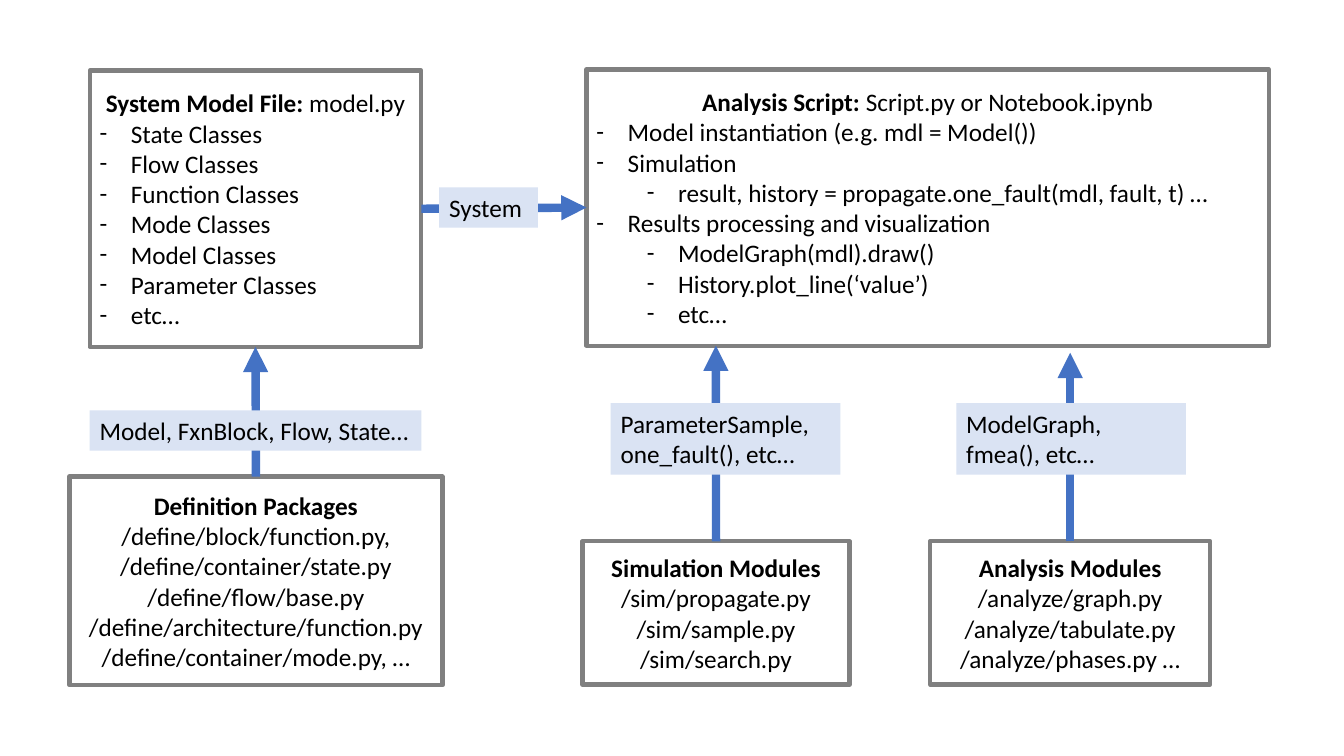
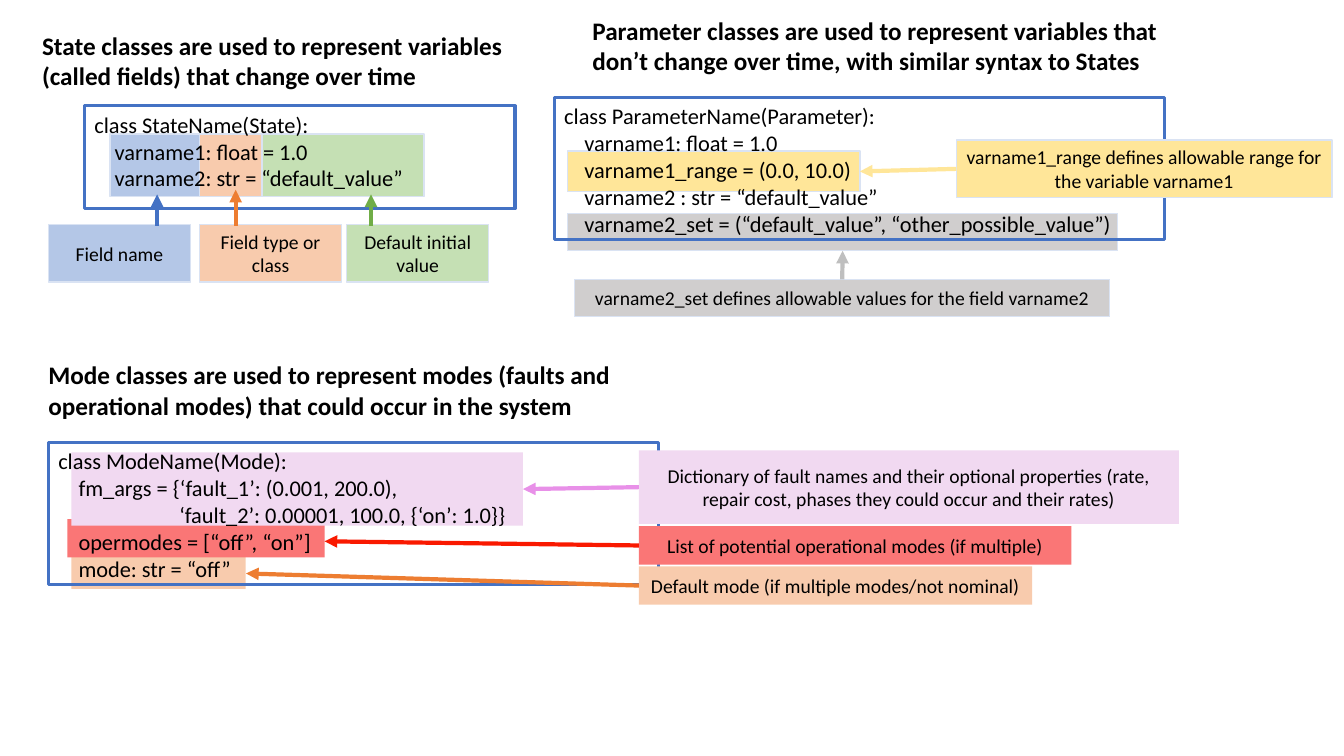
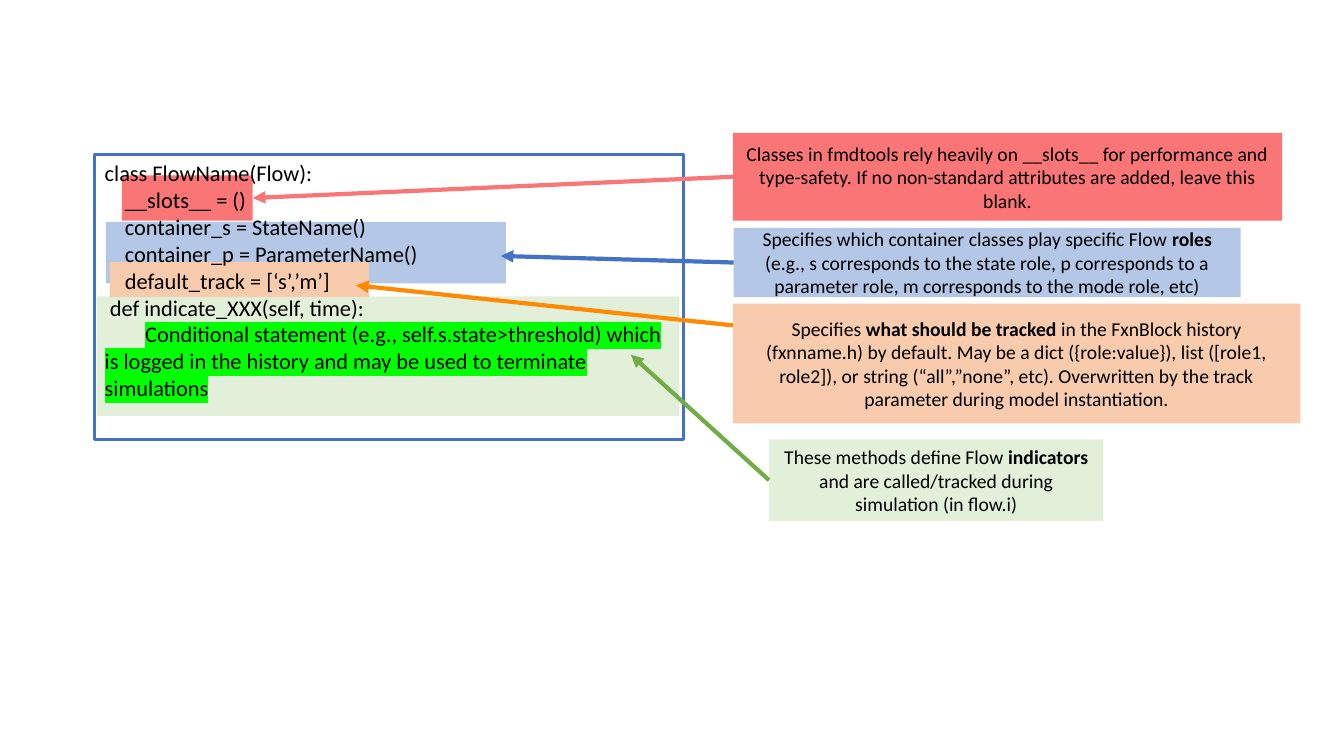
from dataclasses import dataclass

from lxml.etree import SubElement
from pptx import Presentation
from pptx.dml.color import RGBColor
from pptx.enum.shapes import MSO_CONNECTOR, MSO_SHAPE
from pptx.enum.text import MSO_ANCHOR, PP_ALIGN
from pptx.oxml.ns import qn
from pptx.util import Cm, Pt

FONT = "Calibri"
BLACK, WHITE, GREY = "000000", "FFFFFF", "808080"
BLUE, ORANGE, GREEN = "4472C4", "ED7D31", "70AD47"
PALE_BLUE, SOFT_BLUE, SOFT_ORANGE, SOFT_GREEN = "DAE3F3", "B4C7E7", "F8CBAD", "C5E0B4"
PALE_GREEN, YELLOW, SOFT_GREY = "E2F0D9", "FFE699", "D0CECE"
RED, PINK, LIME = "FA7676", "F1D9F1", "00FF00"
TOP, LEFT, BOTTOM, RIGHT = range(4)
CODE_INDENT = 0.51


@dataclass
class Line:
    """A paragraph; text between ** marks is bold, indents are in cm."""
    text: str
    left: float = 0
    first: float = 0
    bullet: str = ""
    align: PP_ALIGN = None
    marker: str = ""


def rgb(value):
    return RGBColor.from_string(value)


def dash(text, level=0):
    return Line(text, left=0.79 + 1.27 * level, first=-0.79, bullet="-", align=PP_ALIGN.LEFT)


def indented(*texts):
    return [Line(text, left=CODE_INDENT) for text in texts]


def write(frame, lines, size=18, bold=False, align=PP_ALIGN.LEFT, anchor=MSO_ANCHOR.TOP):
    frame.word_wrap = True
    frame.vertical_anchor = anchor
    for index, line in enumerate(lines):
        if isinstance(line, str):
            line = Line(line)
        paragraph = frame.add_paragraph() if index else frame.paragraphs[0]
        paragraph.alignment = line.align or align
        properties = paragraph._p.get_or_add_pPr()
        properties.set("marL", str(Cm(line.left)))
        properties.set("indent", str(Cm(line.first)))
        if line.bullet:
            SubElement(properties, qn("a:buFont")).set("typeface", FONT)
            SubElement(properties, qn("a:buChar")).set("char", line.bullet)
        for part, text in enumerate(line.text.split("**")):
            if not text:
                continue
            run = paragraph.add_run()
            run.text = text
            run.font.size = Pt(size)
            run.font.bold = bold or part % 2 == 1
            run.font.color.rgb = rgb(BLACK)
            if line.marker:
                run_format = run._r.get_or_add_rPr()
                highlight = SubElement(run_format, qn("a:highlight"))
                SubElement(highlight, qn("a:srgbClr")).set("val", line.marker)
            run.font.name = FONT


class Deck:
    def __init__(self):
        self.presentation = Presentation()
        self.presentation.slide_width = Cm(33.87)
        self.presentation.slide_height = Cm(19.05)
        self.slide = None

    def new_slide(self):
        self.slide = self.presentation.slides.add_slide(self.presentation.slide_layouts[6])

    def box(self, place, fill=None, edge=None, weight=1, kind=MSO_SHAPE.RECTANGLE):
        shape = self.slide.shapes.add_shape(kind, *map(Cm, place))
        shape.shadow.inherit = False
        if fill:
            shape.fill.solid()
            shape.fill.fore_color.rgb = rgb(fill)
        else:
            shape.fill.background()
        if edge:
            shape.line.color.rgb = rgb(edge)
            shape.line.width = Pt(weight)
        else:
            shape.line.fill.background()
        return shape

    def module(self, place, *lines):
        shape = self.box(place, WHITE, GREY, 3, MSO_SHAPE.FLOWCHART_PROCESS)
        write(shape.text_frame, lines, align=PP_ALIGN.CENTER, anchor=MSO_ANCHOR.MIDDLE)
        return shape

    def label(self, place, *lines):
        write(self.box(place, PALE_BLUE).text_frame, lines)

    def code(self, place, *lines):
        write(self.box(place, edge=BLUE, weight=2.25).text_frame, lines, size=16)

    def note(self, place, text, fill, edge=None):
        shape = self.box(place, fill, edge)
        write(shape.text_frame, [text], size=14, align=PP_ALIGN.CENTER, anchor=MSO_ANCHOR.MIDDLE)
        return shape

    def heading(self, place, text):
        frame = self.slide.shapes.add_textbox(*map(Cm, place)).text_frame
        write(frame, [text], bold=True)

    def arrow(self, start, end, color, weight=3):
        """Each end is an (x, y) point in cm or a (shape, side) pair."""
        def point(target):
            if isinstance(target[0], (int, float)):
                return Cm(target[0]), Cm(target[1])
            shape, side = target
            across = {LEFT: 0, RIGHT: shape.width}.get(side, shape.width // 2)
            down = {TOP: 0, BOTTOM: shape.height}.get(side, shape.height // 2)
            return shape.left + across, shape.top + down

        connector = self.slide.shapes.add_connector(
            MSO_CONNECTOR.STRAIGHT, *point(start), *point(end))
        for target, join in ((start, connector.begin_connect), (end, connector.end_connect)):
            if not isinstance(target[0], (int, float)):
                join(*target)
        connector.line.color.rgb = rgb(color)
        connector.line.width = Pt(weight)
        SubElement(connector.line._get_or_add_ln(), qn("a:tailEnd")).set("type", "triangle")
        SubElement(connector._element.spPr, qn("a:effectLst"))


def structure_slide(deck):
    deck.new_slide()
    packages = deck.module(
        (1.75, 12.01, 9.4, 5.26), "**Definition Packages**", "/define/block/function.py,",
        "/define/container/state.py", "/define/flow/base.py",
        "/define/architecture/function.py", "/define/container/mode.py, …")
    contents = ("State Classes", "Flow Classes", "Function Classes", "Mode Classes",
                "Model Classes", "Parameter Classes", "etc…")
    model = deck.module((2.26, 1.78, 8.36, 6.96), "**System Model File: **model.py",
                        *map(dash, contents))
    script = deck.module(
        (14.78, 1.75, 17.2, 6.96), "**Analysis Script: **Script.py or Notebook.ipynb",
        dash("Model instantiation (e.g. mdl = Model())"), dash("Simulation"),
        dash("result, history = propagate.one_fault(mdl, fault, t) …", 1),
        dash("Results processing and visualization"), dash("ModelGraph(mdl).draw()", 1),
        dash("History.plot_line(‘value’)", 1), dash("etc…", 1))
    simulation = deck.module((14.68, 13.64, 6.73, 3.61), "**Simulation Modules**",
                             "/sim/propagate.py", "/sim/sample.py", "/sim/search.py")
    analysis = deck.module((23.44, 13.64, 7.06, 3.61), "**Analysis Modules**",
                           "/analyze/graph.py", "/analyze/tabulate.py", "/analyze/phases.py …")

    for start, end in (((packages, TOP), (model, BOTTOM)), ((model, RIGHT), (script, LEFT)),
                       ((simulation, TOP), (18.04, 8.71)), ((analysis, TOP), (26.97, 8.89))):
        deck.arrow(start, end, BLUE, 6)

    deck.label((2.26, 10.34, 8.36, 1.02), "Model, FxnBlock, Flow, State…")
    deck.label((11.07, 4.72, 2.49, 1.02), "System")
    deck.label((15.39, 10.16, 5.79, 1.8), "ParameterSample, one_fault(), etc…")
    deck.label((24.1, 10.16, 5.79, 1.8), "ModelGraph,", "fmea(), etc…")


def container_slide(deck):
    deck.new_slide()
    deck.box((1.8, 13.87, 4.39, 0.97), SOFT_ORANGE)
    deck.box((1.7, 13.08, 6.48, 0.97), RED)
    fault_args = deck.box((1.8, 11.4, 11.38, 1.85), PINK)
    allowed_set = deck.box((14.3, 5.38, 13.87, 0.94), SOFT_GREY, PALE_BLUE)
    allowed_range = deck.box((14.3, 3.81, 7.37, 1.02), YELLOW, PALE_BLUE)
    for left, width, fill in ((2.77, 2.41, SOFT_BLUE), (5.03, 1.8, SOFT_ORANGE),
                              (6.6, 4.09, SOFT_GREEN)):
        deck.box((left, 3.38, width, 1.57), fill, PALE_BLUE)

    deck.code((2.13, 2.67, 10.85, 2.59), "class StateName(State):",
              *indented("varname1: float = 1.0", "varname2: str = “default_value”"))
    deck.code((13.97, 2.46, 15.37, 3.58), "class ParameterName(Parameter):",
              *indented("varname1: float = 1.0", "varname1_range = (0.0, 10.0)",
                        "varname2 : str = “default_value”",
                        "varname2_set = (“default_value”, “other_possible_value”)"))
    deck.code((1.22, 11.15, 15.37, 3.58), "class ModeName(Mode):",
              *indented("fm_args = {‘fault_1’: (0.001, 200.0),"),
              Line("‘fault_2’: 0.00001, 100.0, {‘on’: 1.0}}", left=3.05),
              *indented("opermodes = [“off”, “on”]", "mode: str = “off”"))

    deck.heading((0.81, 0.64, 12.83, 1.8),
                 "State classes are used to represent variables (called fields) "
                 "that change over time")
    deck.heading((14.68, 0.25, 15.06, 1.8),
                 "Parameter classes are used to represent variables that don’t change "
                 "over time, with similar syntax to States")
    deck.heading((0.97, 8.94, 16.28, 1.8),
                 "Mode classes are used to represent modes (faults and operational modes) "
                 "that could occur in the system")

    for left, text, fill, x, tip, color in (
            (1.22, "Field name", SOFT_BLUE, 3.96, 4.9, BLUE),
            (5.03, "Field type or class", SOFT_ORANGE, 5.94, 4.78, ORANGE),
            (8.74, "Default initial value", SOFT_GREEN, 9.35, 4.9, GREEN)):
        deck.note((left, 5.66, 3.58, 1.45), text, fill, PALE_BLUE)
        deck.arrow((x, 5.69), (x, tip), color)

    for place, text, fill, edge, side, target, color in (
            ((24.1, 3.53, 9.47, 1.45),
             "varname1_range defines allowable range for the variable varname1",
             YELLOW, PALE_BLUE, LEFT, (allowed_range, RIGHT), YELLOW),
            ((14.48, 7.04, 13.49, 0.94),
             "varname2_set defines allowable values for the field varname2",
             SOFT_GREY, PALE_BLUE, TOP, (allowed_set, BOTTOM), "BFBFBF"),
            ((16.1, 11.35, 13.61, 1.85),
             "Dictionary of fault names and their optional properties (rate, repair cost, "
             "phases they could occur and their rates)",
             PINK, None, LEFT, (fault_args, RIGHT), "E890E8"),
            ((16.1, 13.26, 10.9, 0.97), "List of potential operational modes (if multiple)",
             RED, None, LEFT, (8.18, 13.64), "F91900"),
            ((16.1, 14.27, 9.91, 0.97), "Default mode (if multiple modes/not nominal)",
             SOFT_ORANGE, None, LEFT, (6.2, 14.45), ORANGE)):
        note = deck.note(place, text, fill, edge)
        deck.arrow((note, side), target, color)


def flow_slide(deck):
    deck.new_slide()
    deck.box((2.67, 5.59, 10.08, 1.55), SOFT_BLUE)
    deck.box((2.44, 7.47, 14.68, 3.02), PALE_GREEN)
    deck.box((2.77, 6.6, 6.53, 0.89), SOFT_ORANGE)
    slots = deck.box((3.07, 4.42, 3.3, 1.14), RED)
    deck.code((2.39, 3.89, 14.83, 7.19), "class FlowName(Flow):",
              *indented("__slots__ = ()", "container_s = StateName()",
                        "container_p = ParameterName()", "default_track = [‘s’,’m’]"),
              Line("def indicate_XXX(self, time):", left=0.13),
              Line("Conditional statement (e.g., self.s.state>threshold) which is logged in "
                   "the history and may be used to terminate simulations",
                   first=2 * CODE_INDENT, marker=LIME))

    slots_note = deck.note(
        (18.47, 3.35, 13.84, 2.21),
        "Classes in fmdtools rely heavily on __slots__ for performance and type-safety. "
        "If no non-standard attributes are added, leave this blank.", RED)
    roles_note = deck.note(
        (18.49, 5.74, 12.78, 1.75),
        "Specifies which container classes play specific Flow **roles **(e.g., s corresponds "
        "to the state role, p corresponds to a parameter role, m corresponds to the mode "
        "role, etc)", SOFT_BLUE)
    indicators_note = deck.note(
        (19.38, 11.07, 8.43, 2.06),
        "These methods define Flow **indicators** and are called/tracked during simulation "
        "(in flow.i)", PALE_GREEN)
    deck.note(
        (18.47, 7.65, 14.3, 3.02),
        "Specifies **what should be tracked** in the FxnBlock history (fxnname.h) by default. "
        "May be a dict ({role:value}), list ([role1, role2]), or string (“all”,”none”, etc). "
        "Overwritten by the track parameter during model instantiation.", SOFT_ORANGE)

    deck.arrow((slots_note, LEFT), (slots, RIGHT), RED)
    deck.arrow((roles_note, LEFT), (12.62, 6.45), BLUE)
    deck.arrow((indicators_note, LEFT), (15.9, 8.94), GREEN)
    deck.arrow((18.47, 8.2), (8.97, 7.19), "FF8A02")


def main():
    deck = Deck()
    structure_slide(deck)
    container_slide(deck)
    flow_slide(deck)
    deck.presentation.save("out.pptx")


if __name__ == "__main__":
    main()
